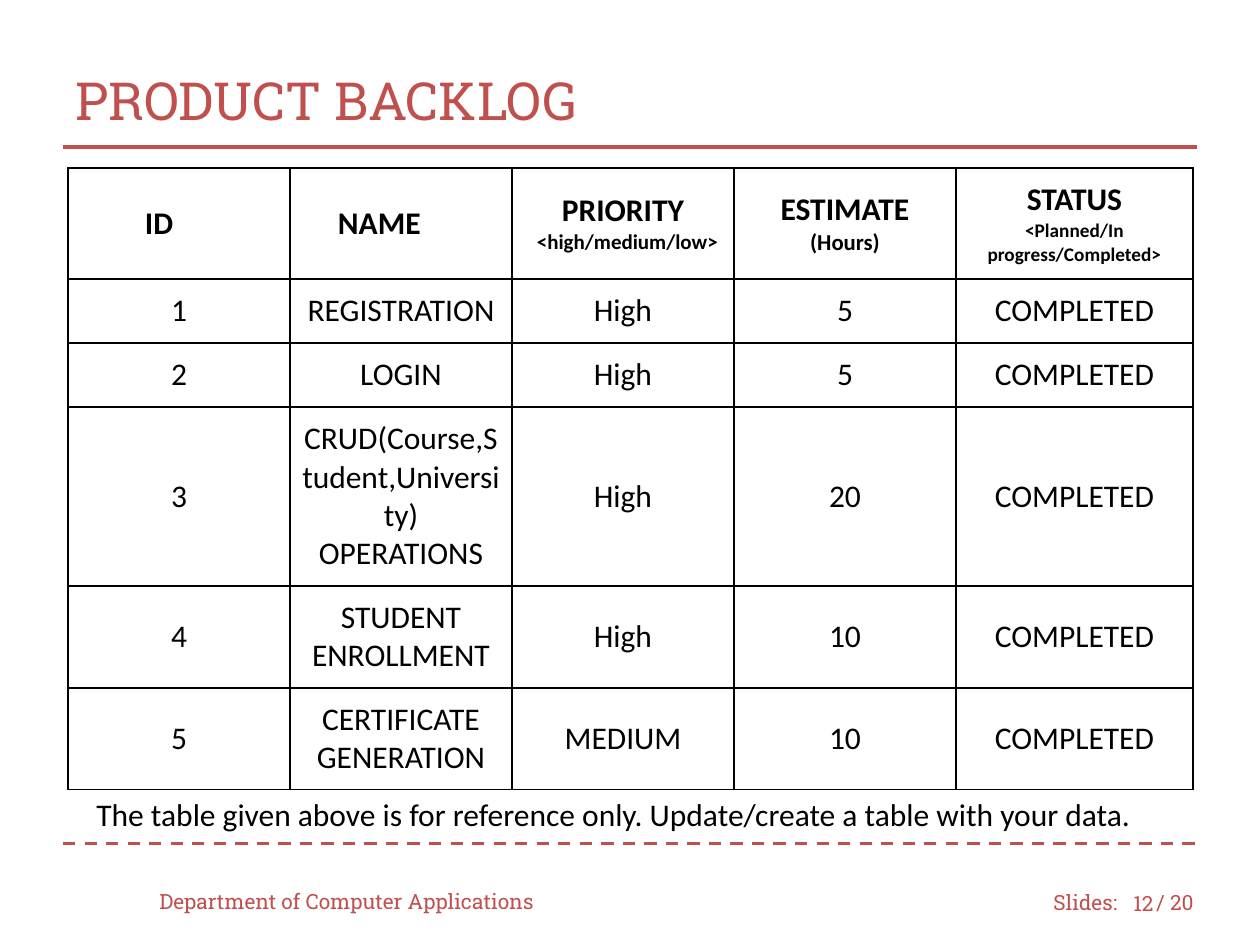
from lxml import etree
from pptx import Presentation
from pptx.dml.color import RGBColor
from pptx.enum.dml import MSO_LINE
from pptx.enum.shapes import MSO_CONNECTOR
from pptx.enum.text import MSO_ANCHOR, PP_ALIGN
from pptx.oxml.ns import qn
from pptx.util import Pt

SCALE = 914400 / 126
LEFT, CENTER, RIGHT = PP_ALIGN.LEFT, PP_ALIGN.CENTER, PP_ALIGN.RIGHT
TOP, MIDDLE = MSO_ANCHOR.TOP, MSO_ANCHOR.MIDDLE
STRAIGHT, DASH = MSO_CONNECTOR.STRAIGHT, MSO_LINE.DASH
RED, BLACK, WHITE = "C0504D", "000000", "FFFFFF"
SLAB, BODY = "Roboto Slab", "Calibri"
CELL_MARGIN = 12

COLUMN_WIDTHS = [222, 222, 222, 222, 237]
ROW_HEIGHTS = [111, 64, 64, 179, 102, 102]
# Each header line: text, size, left indent (None means centred)
HEADERS = [
    [("ID", 18, 65)],
    [("NAME", 18, 36)],
    [("PRIORITY", 18, None), ("<high/medium/low>", 12, 13)],
    [("ESTIMATE", 18, None), ("(Hours)", 13, None)],
    [("STATUS", 18, None), ("<Planned/In progress/Completed>", 11, None)],
]
ITEMS = [
    (["REGISTRATION"], "High", "5"),
    (["LOGIN"], "High", "5"),
    (["CRUD(Course,Student,University)", "OPERATIONS"], "High", "20"),
    (["STUDENT ENROLLMENT"], "High", "10"),
    (["CERTIFICATE GENERATION"], "MEDIUM", "10"),
]


def px(value):
    return round(value * SCALE)


def color(value):
    return RGBColor.from_string(value)


def set_attributes(target, values):
    for name, value in values.items():
        setattr(target, name, value)


def write_paragraph(paragraph, text, size, font, text_color, align=LEFT, bold=False):
    paragraph.alignment = align
    run = paragraph.add_run()
    run.text = text
    set_attributes(run.font, {"size": Pt(size), "name": font, "bold": bold})
    run.font.color.rgb = color(text_color)


def add_text(slide, box, text, size, font=SLAB, text_color=RED, align=LEFT, anchor=MIDDLE):
    shape = slide.shapes.add_textbox(*map(px, box))
    frame = shape.text_frame
    set_attributes(frame, {"word_wrap": True, "vertical_anchor": anchor})
    write_paragraph(frame.paragraphs[0], text, size, font, text_color, align)


def add_rule(slide, y, dash=None):
    connector = slide.shapes.add_connector(STRAIGHT, px(63), px(y), px(1197), px(y))
    set_attributes(connector.line, {"width": Pt(1.75), "dash_style": dash})
    connector.line.color.rgb = color(RED)
    properties = connector._element.find(qn("p:spPr"))
    etree.SubElement(properties, qn("a:effectLst"))


def add_borders(cell):
    properties = cell._tc.get_or_add_tcPr()
    for index, side in enumerate(("lnL", "lnR", "lnT", "lnB")):
        line = etree.Element(qn(f"a:{side}"), w=str(Pt(0.75)))
        fill = etree.SubElement(line, qn("a:solidFill"))
        etree.SubElement(fill, qn("a:srgbClr"), val=BLACK)
        properties.insert(index, line)


def fill_cell(cell, lines, bold):
    margins = {f"margin_{side}": px(CELL_MARGIN) for side in ("left", "right", "top", "bottom")}
    set_attributes(cell, {**margins, "vertical_anchor": MIDDLE})
    cell.fill.solid()
    cell.fill.fore_color.rgb = color(WHITE)
    add_borders(cell)
    frame = cell.text_frame
    for index, (text, size, indent) in enumerate(lines):
        paragraph = frame.add_paragraph() if index else frame.paragraphs[0]
        align = CENTER if indent is None else LEFT
        write_paragraph(paragraph, text, size, BODY, BLACK, align, bold)
        if indent is not None:
            paragraph._p.get_or_add_pPr().set("marL", str(px(indent)))


def add_backlog(slide):
    rows = [HEADERS]
    for number, (name, priority, hours) in enumerate(ITEMS, 1):
        values = [[str(number)], name, [priority], [hours], ["COMPLETED"]]
        rows.append([[(text, 18, None) for text in lines] for lines in values])
    size = (sum(COLUMN_WIDTHS), sum(ROW_HEIGHTS))
    frame = slide.shapes.add_table(len(rows), len(HEADERS), *map(px, (68, 168, *size)))
    table = frame.table
    for column, width in zip(table.columns, COLUMN_WIDTHS):
        column.width = px(width)
    for row_index, (height, row) in enumerate(zip(ROW_HEIGHTS, rows)):
        table.rows[row_index].height = px(height)
        for column_index, lines in enumerate(row):
            fill_cell(table.cell(row_index, column_index), lines, row_index == 0)


def main():
    presentation = Presentation()
    set_attributes(presentation, {"slide_width": px(1260), "slide_height": px(945)})
    slide = presentation.slides.add_slide(presentation.slide_layouts[6])
    add_text(slide, (63, 42, 1134, 116), "PRODUCT BACKLOG", 30)
    add_rule(slide, 147)
    add_backlog(slide)
    add_text(slide, (84, 789, 1081, 50),
             "The table given above is for reference only. Update/create a table with your data.",
             18, BODY, BLACK, anchor=TOP)
    add_rule(slide, 844, DASH)
    add_text(slide, (147, 876, 420, 50), "Department of Computer Applications", 12)
    add_text(slide, (1041, 877, 95, 50), "Slides:", 12)
    add_text(slide, (1113, 878, 53, 50), "12", 12, align=RIGHT)
    add_text(slide, (1144, 877, 73, 50), "/ 20", 12)
    presentation.save("out.pptx")


if __name__ == "__main__":
    main()
